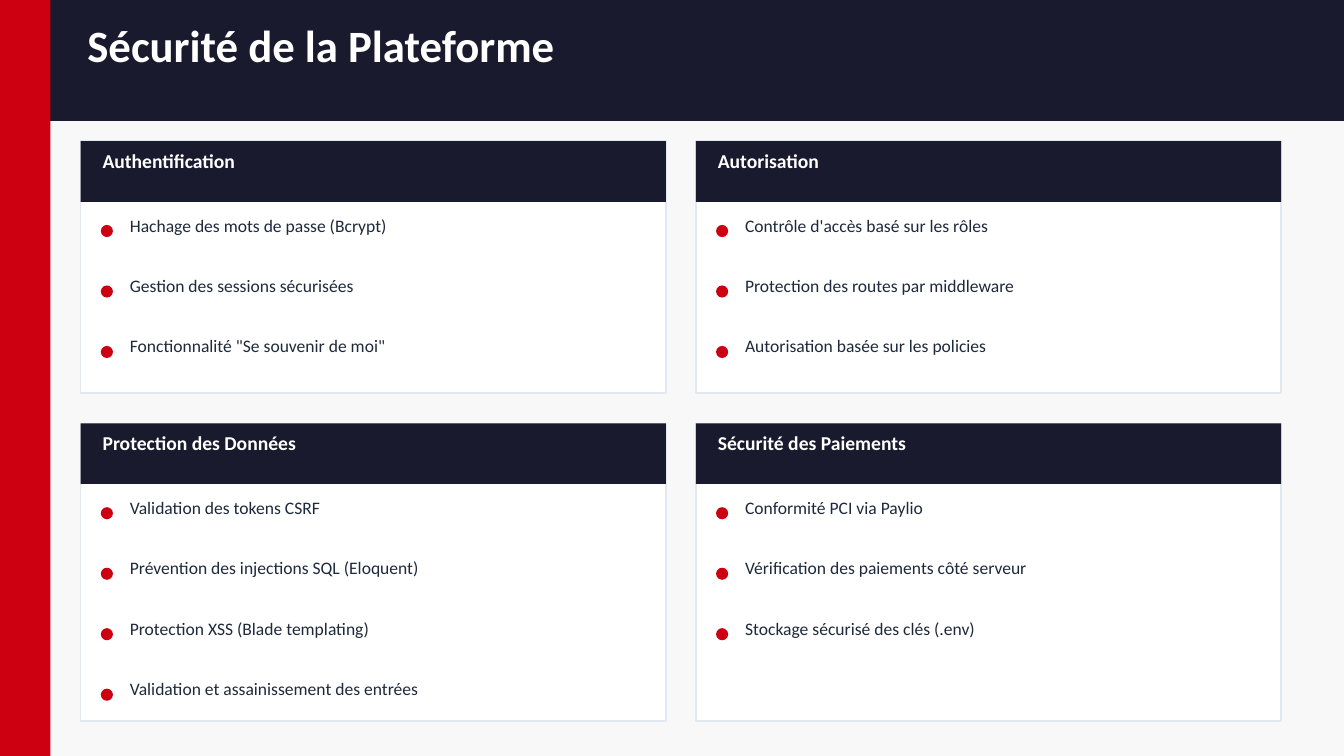
from pptx import Presentation
from pptx.dml.color import RGBColor
from pptx.enum.shapes import MSO_SHAPE
from pptx.util import Pt

RECT = MSO_SHAPE.RECTANGLE
OVAL = MSO_SHAPE.OVAL
FONT = "Calibri"
WIDE, HIGH = 1440, 810
COLORS = {
    "page": "F8F8F8",
    "navy": "1A1A2E",
    "red": "CC0011",
    "white": "FFFFFF",
    "edge": "E2E8F0",
    "ink": "1E293B",
}
LEFT, STEP, CARD = 86.4, 659.2, 627
HEAD, ROW, DOT = 65, 64.8, 13
ROWS = [
    (151.2, 270, [
        ("Authentification", [
            "Hachage des mots de passe (Bcrypt)",
            "Gestion des sessions sécurisées",
            'Fonctionnalité "Se souvenir de moi"',
        ]),
        ("Autorisation", [
            "Contrôle d'accès basé sur les rôles",
            "Protection des routes par middleware",
            "Autorisation basée sur les policies",
        ]),
    ]),
    (453.6, 319, [
        ("Protection des Données", [
            "Validation des tokens CSRF",
            "Prévention des injections SQL (Eloquent)",
            "Protection XSS (Blade templating)",
            "Validation et assainissement des entrées",
        ]),
        ("Sécurité des Paiements", [
            "Conformité PCI via Paylio",
            "Vérification des paiements côté serveur",
            "Stockage sécurisé des clés (.env)",
        ]),
    ]),
]


def color(name):
    return RGBColor.from_string(COLORS[name])


def add_form(slide, kind, x, y, w, h, fill, edge=None):
    form = slide.shapes.add_shape(kind, Pt(x), Pt(y), Pt(w), Pt(h))
    form.shadow.inherit = False
    form.fill.solid()
    form.fill.fore_color.rgb = color(fill)
    if edge:
        form.line.color.rgb = color(edge)
        form.line.width = Pt(1.5)
    else:
        form.line.fill.background()


def add_text(slide, text, x, y, w, h, size, ink, bold=False):
    frame = slide.shapes.add_textbox(Pt(x), Pt(y), Pt(w), Pt(h)).text_frame
    frame.word_wrap = True
    frame.margin_left = frame.margin_right = 0
    frame.margin_top = frame.margin_bottom = 0
    frame.text = text
    para = frame.paragraphs[0]
    para.line_spacing = Pt(round(size * 1.2, 1))
    font = para.runs[0].font
    font.name = FONT
    font.size = Pt(size)
    font.bold = bold
    font.color.rgb = color(ink)


def add_card(slide, x, y, h, title, items):
    add_form(slide, RECT, x, y, CARD, h, "white", "edge")
    add_form(slide, RECT, x, y, CARD, HEAD, "navy")
    add_text(slide, title, x + 23.5, y + 8.6, 591, 48, 21, "white", True)
    for i, item in enumerate(items):
        top = y + HEAD + i * ROW
        add_form(slide, OVAL, x + 21.6, top + 24.8, DOT, DOT, "red")
        add_text(slide, item, x + 52.7, top + 13.6, 553, 52, 18.8, "ink")


def main():
    deck = Presentation()
    deck.slide_width, deck.slide_height = Pt(WIDE), Pt(HIGH)
    slide = deck.slides.add_slide(deck.slide_layouts[6])
    back = slide.background.fill
    back.solid()
    back.fore_color.rgb = color("page")
    add_form(slide, RECT, 0, 0, WIDE, 129.6, "navy")
    add_form(slide, RECT, 0, 0, 54, HIGH, "red")
    add_text(slide, "Sécurité de la Plateforme", 93.6, 18.7, 1066, 96.5, 48, "white", True)
    for y, h, cards in ROWS:
        for i, (title, items) in enumerate(cards):
            add_card(slide, LEFT + i * STEP, y, h, title, items)
    deck.save("out.pptx")


if __name__ == "__main__":
    main()
